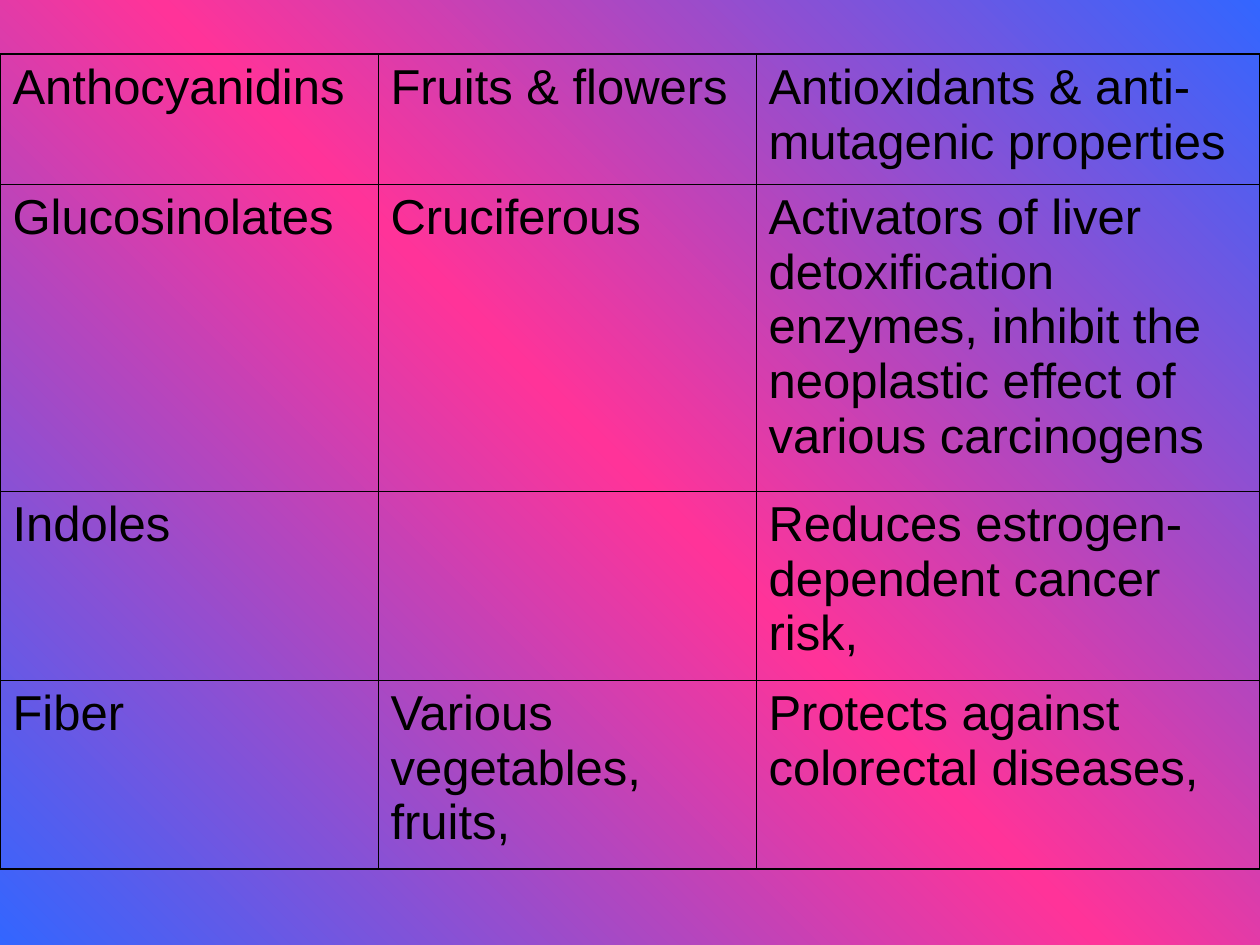
import copy
from pptx import Presentation, util as u
from pptx.dml import color
from pptx.oxml import ns
from lxml import etree

SCALE = 914400 / 126
COLORS = {"blue": "3366FF", "pink": "FF3399", "ink": "000000"}
COLUMNS = [378, 378, 504]
HEIGHTS = [130, 307, 189, 189]
ROWS = [
    ["Anthocyanidins", "Fruits & flowers", "Antioxidants & anti-mutagenic properties"],
    ["Glucosinolates", "Cruciferous",
     "Activators of liver detoxification enzymes, inhibit the neoplastic effect of various carcinogens"],
    ["Indoles", "", "Reduces estrogen-dependent cancer risk,"],
    ["Fiber", "Various vegetables, fruits,", "Protects against colorectal diseases,"],
]


def px(length):
    return u.Emu(round(length * SCALE))


def add_border(cell, side, width):
    properties = cell._tc.get_or_add_tcPr()
    line = etree.SubElement(properties, ns.qn(f"a:ln{side}"), w=str(u.Pt(width)))
    fill = etree.SubElement(line, ns.qn("a:solidFill"))
    etree.SubElement(fill, ns.qn("a:srgbClr"), val=COLORS["ink"])


presentation = Presentation()
presentation.slide_width, presentation.slide_height = px(1260), px(945)
slide = presentation.slides.add_slide(presentation.slide_layouts[6])

# Diagonal background: blue, pink, blue
background = slide.background.fill
background.gradient()
background.gradient_angle = 45
stop_list = next(slide.element.iter(ns.qn("a:gsLst")))
stop_list.insert(1, copy.deepcopy(stop_list[0]))
for stop, name, position in zip(background.gradient_stops, ["blue", "pink", "blue"], [0, 0.5, 1]):
    stop.color.rgb = color.RGBColor.from_string(COLORS[name])
    stop.position = position

# Table grid
table = slide.shapes.add_table(len(ROWS), len(COLUMNS), px(0), px(54),
                               px(sum(COLUMNS)), px(sum(HEIGHTS))).table
table.first_row = table.horz_banding = False
for column, width in zip(table.columns, COLUMNS):
    column.width = px(width)
for row, height in zip(table.rows, HEIGHTS):
    row.height = px(height)

# Cells: heavier lines on the outer edge, no fill
for row_index, words in enumerate(ROWS):
    for column_index, wording in enumerate(words):
        cell = table.cell(row_index, column_index)
        outer_sides = {
            "L": column_index == 0,
            "R": column_index == len(COLUMNS) - 1,
            "T": row_index == 0,
            "B": row_index == len(ROWS) - 1,
        }
        for side, is_outer in outer_sides.items():
            add_border(cell, side, 1.08 if is_outer else 0.45)
        cell.fill.background()
        if wording:
            run = cell.text_frame.paragraphs[0].add_run()
            run.text = wording
            run.font.name, run.font.size = "Arial", u.Pt(28)
            run.font.color.rgb = color.RGBColor.from_string(COLORS["ink"])

presentation.save("out.pptx")
